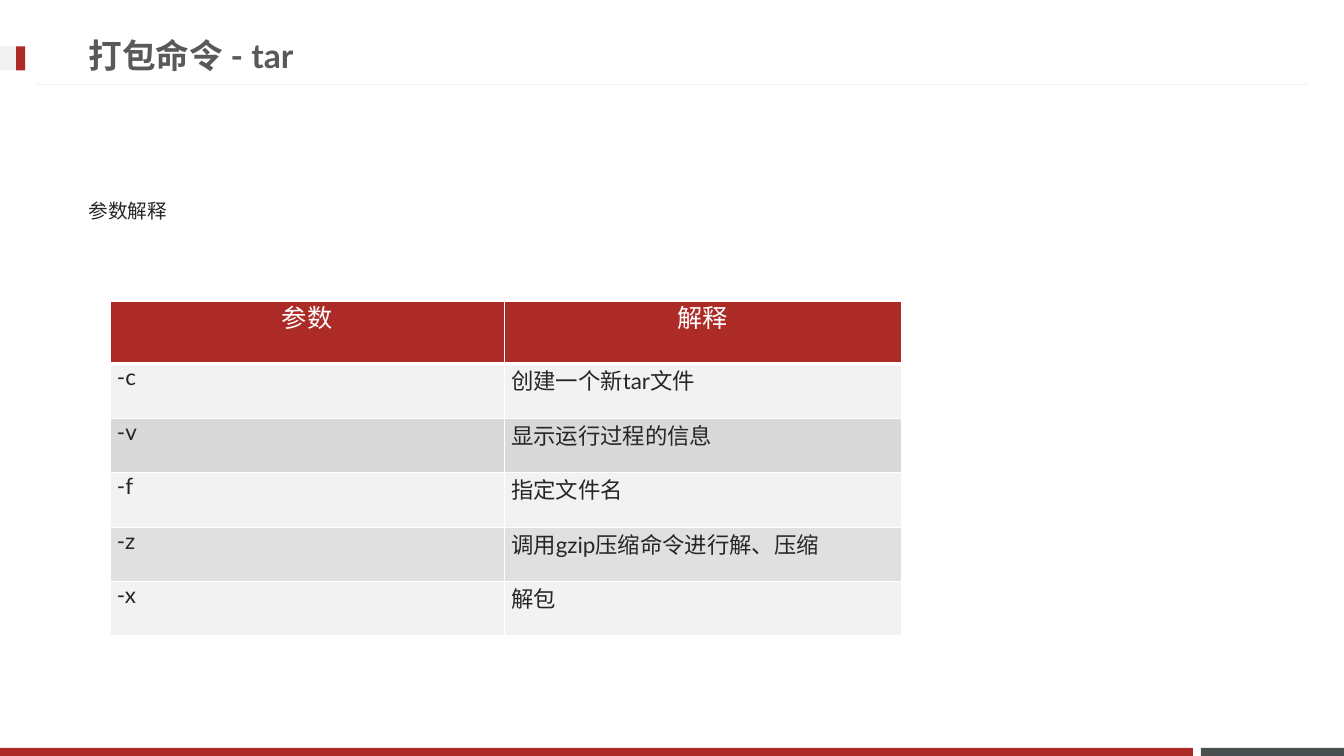
from lxml import etree
from pptx import Presentation
from pptx.dml.color import RGBColor
from pptx.enum.shapes import MSO_CONNECTOR, MSO_SHAPE
from pptx.enum.text import MSO_ANCHOR, PP_ALIGN
from pptx.oxml.ns import qn
from pptx.util import Inches, Pt

RECT = MSO_SHAPE.RECTANGLE
STRAIGHT = MSO_CONNECTOR.STRAIGHT
MIDDLE, TOP = MSO_ANCHOR.MIDDLE, MSO_ANCHOR.TOP
CENTER, LEFT = PP_ALIGN.CENTER, PP_ALIGN.LEFT

WIDTH, HEIGHT = Inches(13.33), Inches(7.5)
FONT = "Lato"
COLORS = {
    "red": "AD2B26",
    "slate": "49504F",
    "pale": "F2F2F2",
    "band": "D9D9D9",
    "title": "595959",
    "text": "262626",
    "white": "FFFFFF",
}
COLUMN_WIDTHS = (29.33, 29.56)
HEADER_HEIGHT, ROW_HEIGHT = 8.27, 7.2
HEADER = ("参数", "解释")
OPTIONS = [
    ("-c", "创建一个新tar文件"),
    ("-v", "显示运行过程的信息"),
    ("-f", "指定文件名"),
    ("-z", "调用gzip压缩命令进行解、压缩"),
    ("-x", "解包"),
]
TRANSLUCENT_ROW = 4
CELL_MARGINS = {
    "margin_left": Inches(0.07),
    "margin_right": Inches(0.07),
    "margin_top": 0,
    "margin_bottom": 0,
}


def color(name):
    return RGBColor.from_string(COLORS[name])


def across(percent):
    return round(WIDTH * percent / 100)


def down(percent):
    return round(HEIGHT * percent / 100)


def area(left, top, width, height):
    return across(left), down(top), across(width), down(height)


def apply(target, values):
    for name, value in values.items():
        setattr(target, name, value)


def write(frame, text, size, tone, bold=False, **layout):
    paragraph = frame.paragraphs[0]
    apply(paragraph, layout)
    run = paragraph.add_run()
    run.text = text
    apply(run.font, {"name": FONT, "size": Pt(size), "bold": bold})
    run.font.color.rgb = color(tone)


def add_block(slide, tone, *box):
    block = slide.shapes.add_shape(RECT, *area(*box))
    block.shadow.inherit = False
    block.fill.solid()
    block.fill.fore_color.rgb = color(tone)
    block.line.fill.background()


def add_rule(slide, start, end, level):
    rule = slide.shapes.add_connector(
        STRAIGHT, across(start), down(level), across(end), down(level))
    rule.line.color.rgb = color("pale")
    rule.line.width = Pt(0.75)
    etree.SubElement(rule._element.spPr, qn("a:effectLst"))


def add_text(slide, box, anchor, *content, **layout):
    frame = slide.shapes.add_textbox(*area(*box)).text_frame
    apply(frame, {"word_wrap": True, "vertical_anchor": anchor})
    write(frame, *content, **layout)


def add_borders(cell, top, bottom):
    properties = cell._tc.get_or_add_tcPr()
    sides = {"a:lnL": 1, "a:lnR": 1, "a:lnT": top, "a:lnB": bottom}
    for position, (side, points) in enumerate(sides.items()):
        border = etree.Element(qn(side), w=str(Pt(points)))
        fill = etree.SubElement(border, qn("a:solidFill"))
        etree.SubElement(fill, qn("a:srgbClr"), val=COLORS["white"])
        properties.insert(position, border)


def fill_cell(cell, tone, alpha=100):
    cell.fill.solid()
    cell.fill.fore_color.rgb = color(tone)
    if alpha < 100:
        shade = cell._tc.tcPr.find(".//" + qn("a:srgbClr"))
        etree.SubElement(shade, qn("a:alpha"), val=str(alpha * 1000))


def add_option_table(slide, left, top):
    rows = [HEADER, *OPTIONS]
    heights = [HEADER_HEIGHT] + [ROW_HEIGHT] * len(OPTIONS)
    box = area(left, top, sum(COLUMN_WIDTHS), sum(heights))
    table = slide.shapes.add_table(len(rows), len(HEADER), *box).table
    for column, width in zip(table.columns, COLUMN_WIDTHS):
        column.width = across(width)
    for index, (texts, height) in enumerate(zip(rows, heights)):
        table.rows[index].height = down(height)
        for cell, text in zip(table.rows[index].cells, texts):
            apply(cell, CELL_MARGINS)
            if index == 0:
                fill_cell(cell, "red")
                write(cell.text_frame, text, 18, "white", alignment=CENTER,
                      line_spacing=Pt(24), space_before=Pt(3.6))
            else:
                fill_cell(cell, "pale" if index % 2 else "band",
                          80 if index == TRANSLUCENT_ROW else 100)
                write(cell.text_frame, text, 16, "text", alignment=LEFT,
                      space_before=Pt(3.2))
            add_borders(cell, 3 if index == 1 else 1, 3 if index == 0 else 1)


def main():
    """Build the slide that explains the options of the tar command."""
    deck = Presentation()
    apply(deck, {"slide_width": WIDTH, "slide_height": HEIGHT})
    slide = deck.slides.add_slide(deck.slide_layouts[6])
    add_block(slide, "slate", 89.35, 98.93, 10.65, 1.07)
    add_block(slide, "red", 0, 98.93, 88.75, 1.07)
    add_rule(slide, 97.37, 2.63, 11.2)
    add_block(slide, "pale", 0, 6.13, 1.88, 3.2)
    add_block(slide, "red", 1.2, 6.13, 0.68, 3.2)
    add_text(slide, (5.85, 3.47, 71.94, 7.6), MIDDLE,
             "打包命令 - tar", 24, "title", True)
    add_text(slide, (5.85, 24.13, 87.77, 61.47), TOP,
             "参数解释", 14, "text", line_spacing=1.5, space_before=Pt(2.8))
    add_option_table(slide, 8.18, 39.87)
    deck.save("out.pptx")


if __name__ == "__main__":
    main()
